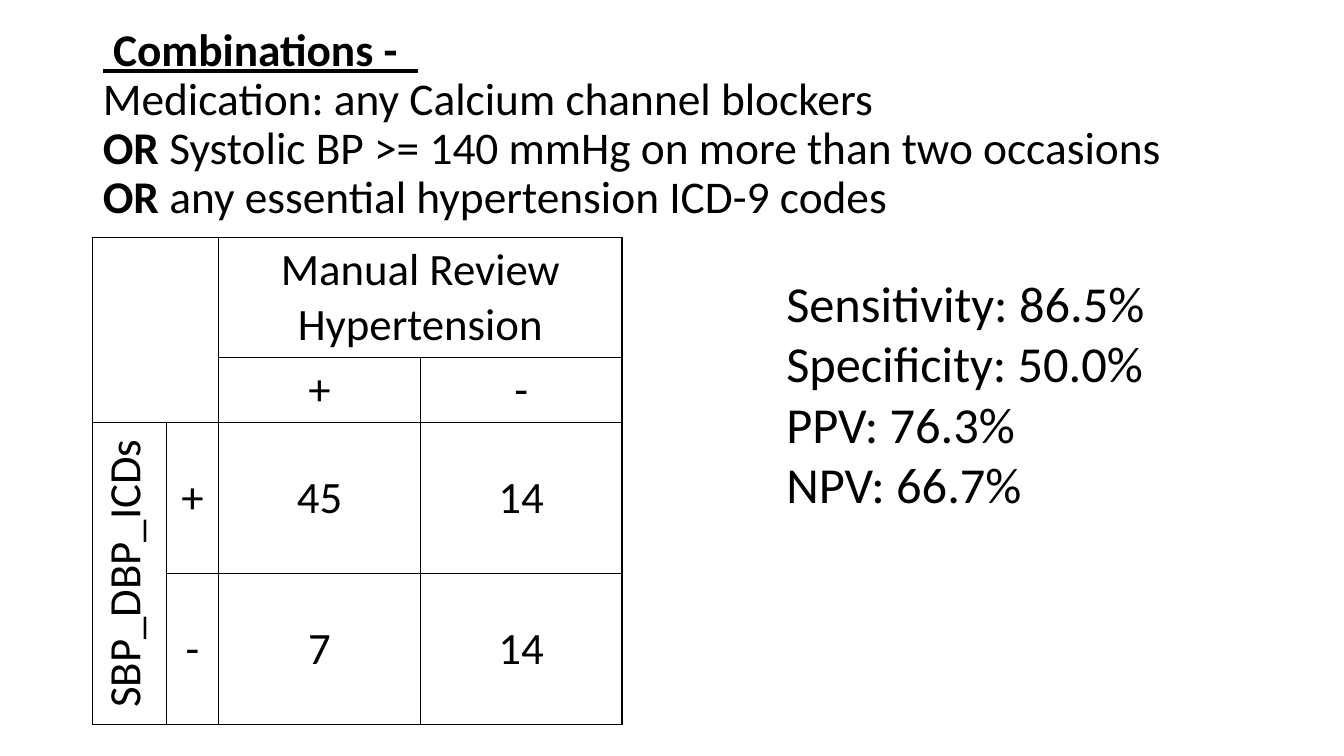
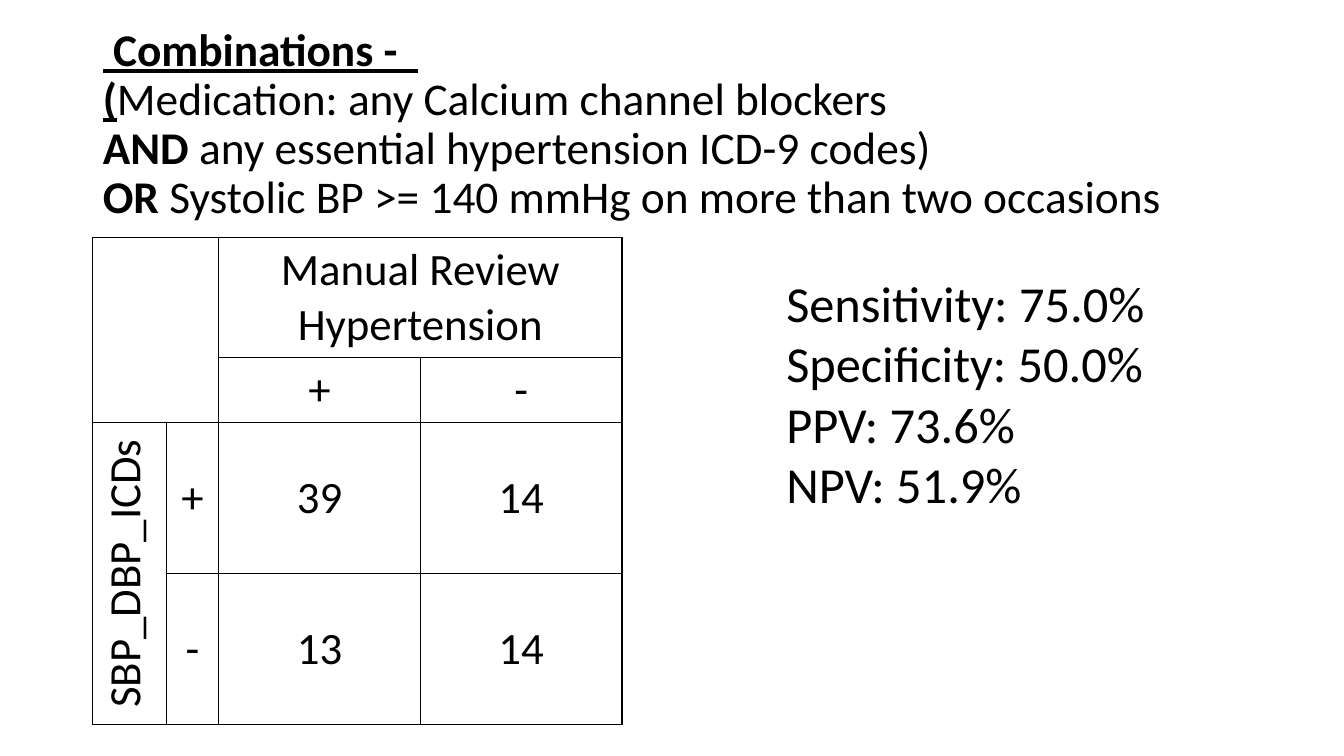
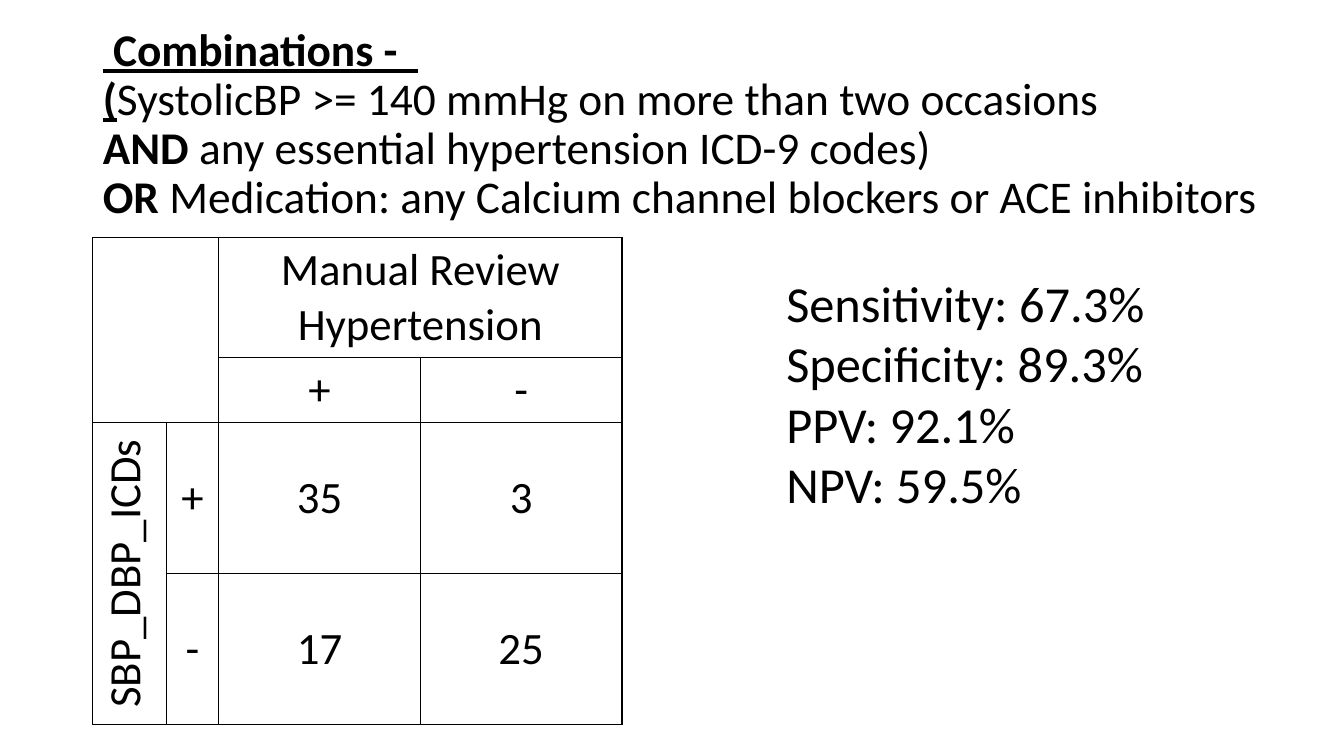
from dataclasses import dataclass
from lxml.etree import SubElement
from pptx import Presentation
from pptx.dml.color import RGBColor
from pptx.enum.text import MSO_ANCHOR, MSO_AUTO_SIZE, PP_ALIGN
from pptx.oxml import parse_xml
from pptx.oxml.ns import nsdecls, qn
from pptx.util import Inches, Pt


@dataclass(frozen=True)
class Theme:
    font: str = "Calibri"
    ink: str = "000000"
    title_size: float = 32.4
    table_size: float = 32
    measure_size: float = 36
    border_width: float = 1


theme = Theme()

HEADING = [(" Combinations -  ", "bu")]
CODES = " any essential hypertension ICD-9 codes"
SYSTOLIC = " >= 140 mmHg on more than two occasions"
BLOCKERS = "Medication: any Calcium channel blockers"
MEASURES = ["Sensitivity", "Specificity", "PPV", "NPV"]

combinations = [
    {
        "criteria": [
            [(BLOCKERS, "")],
            [("OR", "b"), (" Systolic BP" + SYSTOLIC, "")],
            [("OR", "b"), (CODES, "")],
        ],
        "counts": [[45, 14], [7, 14]],
        "rates": [86.5, 50.0, 76.3, 66.7],
    },
    {
        "criteria": [
            [("(", "bu"), (BLOCKERS, "")],
            [("AND", "b"), (CODES + ") ", "")],
            [("OR", "b"), (" Systolic BP" + SYSTOLIC, "")],
        ],
        "counts": [[39, 14], [13, 14]],
        "rates": [75.0, 50.0, 73.6, 51.9],
    },
    {
        "criteria": [
            [("(", "bu"), ("SystolicBP" + SYSTOLIC, "")],
            [("AND", "b"), (CODES + ") ", "")],
            [("OR ", "b"), (BLOCKERS + " or ACE inhibitors", "")],
        ],
        "counts": [[35, 3], [17, 25]],
        "rates": [67.3, 89.3, 92.1, 59.5],
    },
]


def add_run(paragraph, text, size, style=""):
    run = paragraph.add_run()
    run.text = text
    run.font.name = theme.font
    run.font.size = Pt(size)
    run.font.color.rgb = RGBColor.from_string(theme.ink)
    run.font.bold = "b" in style
    run.font.underline = "u" in style


def outline_cell(cell):
    cell.fill.background()
    properties = cell._tc.get_or_add_tcPr()
    for index, side in enumerate(("lnL", "lnR", "lnT", "lnB")):
        border = parse_xml(f'<a:{side} {nsdecls("a")} w="{Pt(theme.border_width)}"/>')
        fill = SubElement(border, qn("a:solidFill"))
        SubElement(fill, qn("a:srgbClr"), val=theme.ink)
        properties.insert(index, border)


presentation = Presentation()
presentation.slide_width = Inches(13.33)
presentation.slide_height = Inches(7.5)

title_level = presentation.slide_master.element.find(
    f'.//{qn("p:titleStyle")}/{qn("a:lvl1pPr")}')
title_level.set("algn", "l")
title_level.find(qn("a:defRPr")).set("sz", str(round(theme.title_size * 100)))

layout = presentation.slide_layouts.get_by_name("Title Only")
layout_title = layout.placeholders[0]
layout_title.left, layout_title.top = Inches(0.92), Inches(0.79)
layout_title.width, layout_title.height = Inches(12.12), Inches(1.45)

for combination in combinations:
    slide = presentation.slides.add_slide(layout)

    title_frame = slide.shapes.title.text_frame
    title_frame.auto_size = MSO_AUTO_SIZE.NONE
    title_frame.vertical_anchor = MSO_ANCHOR.MIDDLE
    paragraph = title_frame.paragraphs[0]
    paragraph.line_spacing = 0.9
    for line in [HEADING] + combination["criteria"]:
        for text, style in line:
            add_run(paragraph, text, theme.title_size, style)
        paragraph.add_line_break()

    table_shape = slide.shapes.add_table(
        4, 4, Inches(0.92), Inches(2.36), Inches(5.26), Inches(4.8))
    table = table_shape.table
    table.first_row = False
    table.horz_banding = False
    for column, width in zip(table.columns, (0.73, 0.52, 2, 2)):
        column.width = Inches(width)
    for row, height in zip(table.rows, (0.41, 0.41, 1.5, 1.5)):
        row.height = Inches(height)
    table_shape.height = Inches(4.8)

    table.cell(0, 0).merge(table.cell(1, 1))
    table.cell(0, 2).merge(table.cell(0, 3))
    table.cell(2, 0).merge(table.cell(3, 0))

    positive, negative = combination["counts"]
    rows = [
        ["", "", "Manual Review Hypertension", ""],
        ["", "", "+", "-"],
        ["SBP_DBP_ICDs", "+", *positive],
        ["", "-", *negative],
    ]
    for row_index, values in enumerate(rows):
        for column_index, value in enumerate(values):
            cell = table.cell(row_index, column_index)
            outline_cell(cell)
            if value == "":
                continue
            if row_index > 0:
                cell.vertical_anchor = MSO_ANCHOR.MIDDLE
            paragraph = cell.text_frame.paragraphs[0]
            paragraph.alignment = PP_ALIGN.CENTER
            add_run(paragraph, str(value), theme.table_size)
    table.cell(2, 0)._tc.get_or_add_tcPr().set("vert", "vert270")

    measures_box = slide.shapes.add_textbox(
        Inches(7.7), Inches(2.65), Inches(3.92), Inches(2.52))
    measures_frame = measures_box.text_frame
    measures_frame.word_wrap = False
    measures_frame.auto_size = MSO_AUTO_SIZE.SHAPE_TO_FIT_TEXT
    for index, (measure, rate) in enumerate(zip(MEASURES, combination["rates"])):
        paragraph = measures_frame.add_paragraph() if index else measures_frame.paragraphs[0]
        add_run(paragraph, f"{measure}: {rate:.1f}%", theme.measure_size)

presentation.save("out.pptx")
